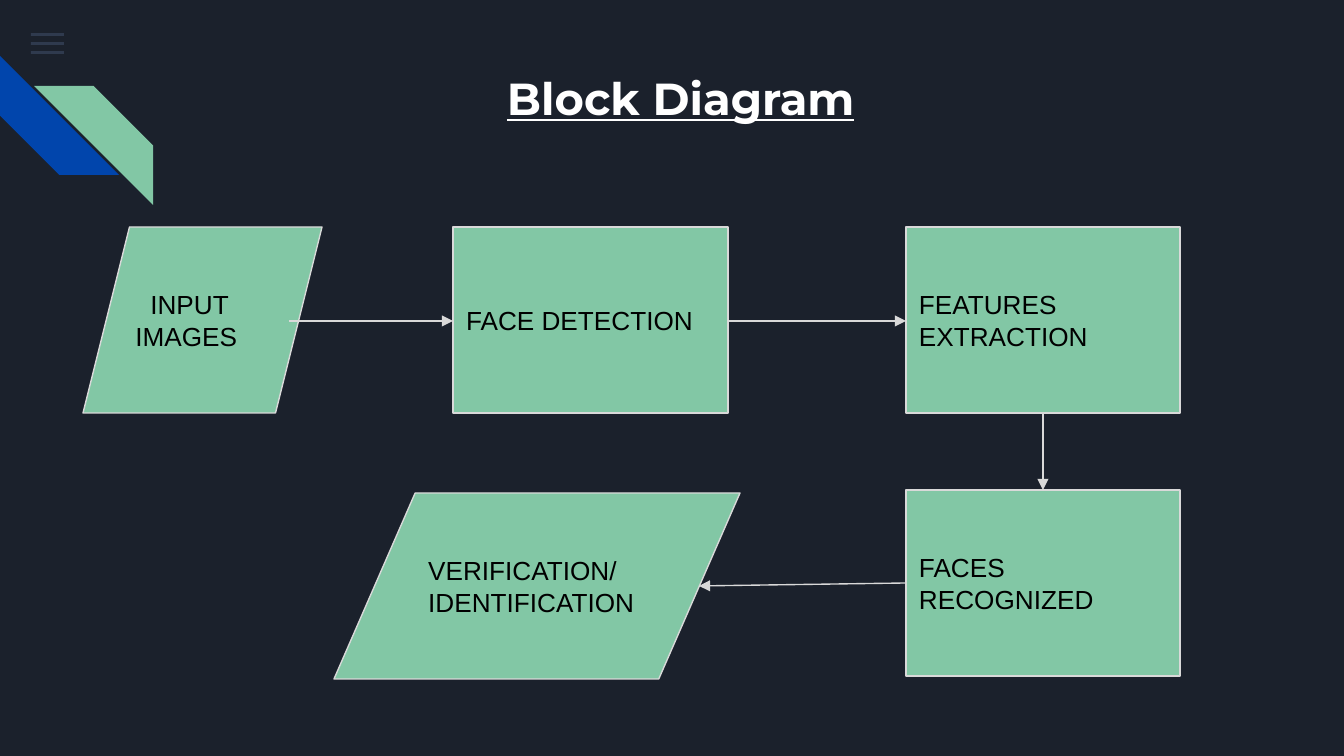
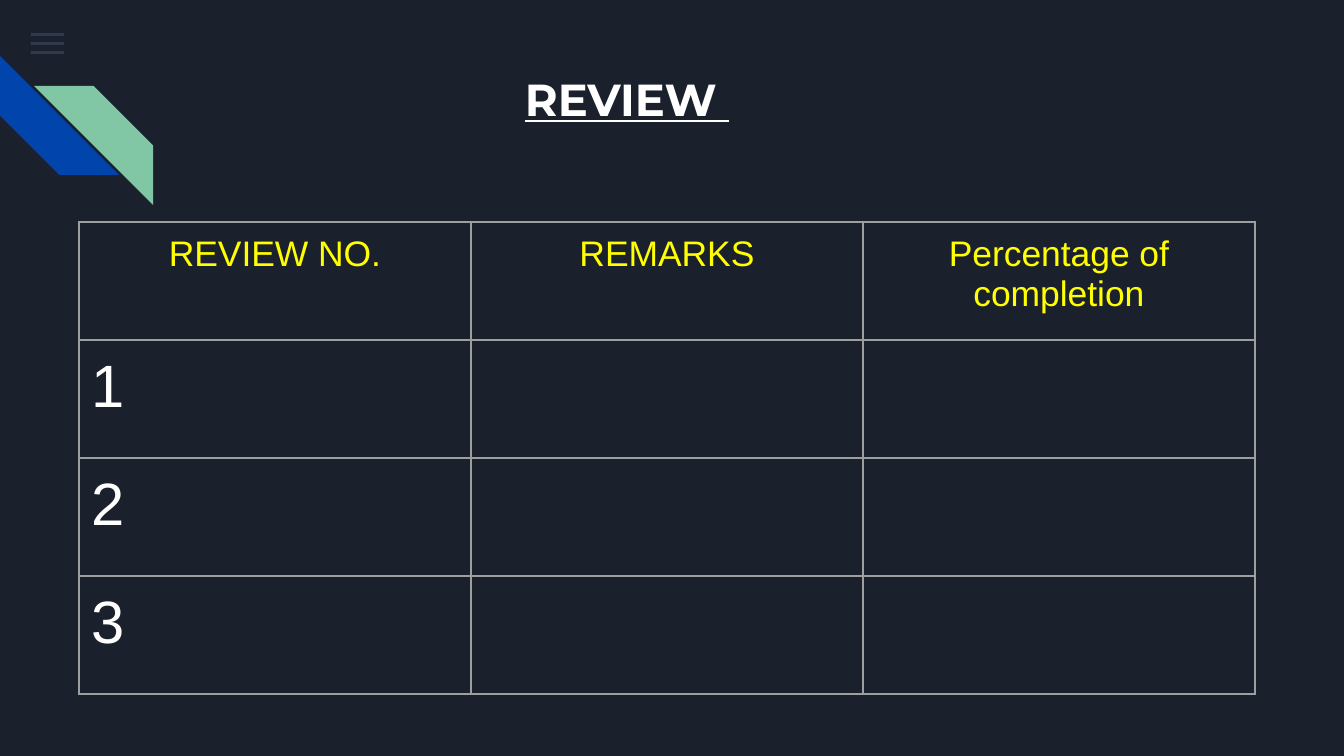
"""Build the block diagram and review slides."""
import dataclasses

import lxml.etree
import pptx
import pptx.dml.color
import pptx.enum.shapes
import pptx.enum.text
import pptx.oxml
import pptx.oxml.ns
import pptx.util

SHAPE = pptx.enum.shapes.MSO_SHAPE
ALIGN = pptx.enum.text.PP_ALIGN
ANCHOR = pptx.enum.text.MSO_ANCHOR
PX = 914400 / 134.4


@dataclasses.dataclass(frozen=True)
class Theme:
    background: str = "1B212C"
    bar: str = "55688B"
    bar_alpha: int = 36
    blue: str = "0145AC"
    green: str = "82C7A5"
    outline: str = "D9D9D9"
    grid: str = "9E9E9E"
    white: str = "FFFFFF"
    black: str = "000000"
    yellow: str = "FFFF00"
    title_font: str = "Montserrat"
    body_font: str = "Arial"
    title_size: int = 24
    block_size: int = 14
    header_size: int = 19
    number_size: int = 32
    line_width: float = 0.75


THEME = Theme()
MARGIN = 13
BLOCK_HEIGHT = 186
TOP_ROW, BOTTOM_ROW = 227, 490
MIDDLE = TOP_ROW + BLOCK_HEIGHT // 2 + 1

BLOCKS = [
    ("INPUT IMAGES", SHAPE.PARALLELOGRAM, (83, TOP_ROW, 239), ALIGN.LEFT, 15),
    ("FACE DETECTION", SHAPE.RECTANGLE, (453, TOP_ROW, 275), ALIGN.JUSTIFY, 0),
    ("FEATURES EXTRACTION", SHAPE.RECTANGLE, (906, TOP_ROW, 274), ALIGN.LEFT, 0),
    ("FACES RECOGNIZED", SHAPE.RECTANGLE, (906, BOTTOM_ROW, 274), ALIGN.LEFT, 0),
    ("VERIFICATION/\nIDENTIFICATION", SHAPE.FLOWCHART_DATA, (334, 493, 406), ALIGN.LEFT, 0),
]
ARROWS = [
    (289, MIDDLE, 453, MIDDLE),
    (728, MIDDLE, 906, MIDDLE),
    (1043, TOP_ROW + BLOCK_HEIGHT, 1043, BOTTOM_ROW),
    (906, 583, 699, 586),
]
REVIEWS = [
    ("REVIEW NO.", "REMARKS", "Percentage of completion"),
    ("1", "", ""),
    ("2", "", ""),
    ("3", "", ""),
]


def px(*lengths):
    return [pptx.util.Emu(round(length * PX)) for length in lengths]


def rgb(color):
    return pptx.dml.color.RGBColor.from_string(color)


def add_child(parent, tag, **attributes):
    child = lxml.etree.SubElement(parent, pptx.oxml.ns.qn(tag))
    for name, value in attributes.items():
        child.set(name, str(value))
    return child


def style_text(frame, font, size, color, align=ALIGN.LEFT, bold=False, underline=False):
    frame.word_wrap = True
    frame.margin_left, frame.margin_top, frame.margin_right, frame.margin_bottom = px(*[MARGIN] * 4)
    for para in frame.paragraphs:
        para.alignment = align
        for span in para.runs:
            span.font.name = font
            span.font.size = pptx.util.Pt(size)
            span.font.color.rgb = rgb(color)
            span.font.bold = bold
            span.font.underline = underline


def add_filled(page, kind, bounds, color):
    shape = page.shapes.add_shape(kind, *px(*bounds))
    shape.shadow.inherit = False
    shape.fill.solid()
    shape.fill.fore_color.rgb = rgb(color)
    shape.line.fill.background()
    return shape


def set_line(line):
    line.color.rgb = rgb(THEME.outline)
    line.width = pptx.util.Pt(THEME.line_width)


def add_page(deck, title, left, top, indent):
    page = deck.slides.add_slide(deck.slide_layouts[6])
    page.background.fill.solid()
    page.background.fill.fore_color.rgb = rgb(THEME.background)
    for index in range(3):
        bar = add_filled(page, SHAPE.RECTANGLE, (31, 33 + 9 * index, 33, 3), THEME.bar)
        color = next(bar.element.iter(pptx.oxml.ns.qn("a:srgbClr")))
        add_child(color, "a:alpha", val=THEME.bar_alpha * 1000)
    for stripe_left, stripe_top, turn, color in ((0, 56, 270, THEME.blue), (34, 86, 90, THEME.green)):
        stripe = add_filled(page, SHAPE.DIAGONAL_STRIPE, (stripe_left, stripe_top, 119, 119), color)
        stripe.rotation = turn
    box = page.shapes.add_textbox(*px(left, top, 1035, 134))
    box.text_frame.text = title
    style_text(box.text_frame, THEME.title_font, THEME.title_size, THEME.white, bold=True, underline=True)
    set_indent(box.text_frame.paragraphs[0], indent)
    return page


def set_indent(para, indent):
    para._p.get_or_add_pPr().set("indent", str(px(indent)[0]))


def add_block(page, text, kind, place, align, indent):
    block = add_filled(page, kind, (*place, BLOCK_HEIGHT), THEME.green)
    set_line(block.line)
    frame = block.text_frame
    frame.text = text
    frame.vertical_anchor = ANCHOR.MIDDLE
    style_text(frame, THEME.body_font, THEME.block_size, THEME.black, align)
    if indent:
        set_indent(frame.paragraphs[0], indent)


def add_arrow(page, ends):
    arrow = page.shapes.add_connector(pptx.enum.shapes.MSO_CONNECTOR.STRAIGHT, *px(*ends))
    set_line(arrow.line)
    add_child(arrow.line._get_or_add_ln(), "a:tailEnd", type="triangle")
    add_child(arrow.element.spPr, "a:effectLst")


def set_borders(cell):
    properties = cell._tc.get_or_add_tcPr()
    for side in ("a:lnL", "a:lnR", "a:lnT", "a:lnB"):
        border = add_child(properties, side, w=pptx.util.Pt(THEME.line_width))
        fill = add_child(border, "a:solidFill")
        add_child(fill, "a:srgbClr", val=THEME.grid)


def add_reviews(page, left, top, column_width, row_height):
    rows, columns = len(REVIEWS), len(REVIEWS[0])
    bounds = px(left, top, column_width * columns, row_height * rows)
    table = page.shapes.add_table(rows, columns, *bounds).table
    table.first_row = table.horz_banding = False
    for row, texts in enumerate(REVIEWS):
        for column, text in enumerate(texts):
            cell = table.cell(row, column)
            set_borders(cell)
            cell.fill.background()
            cell.margin_left, cell.margin_top, cell.margin_right, cell.margin_bottom = px(*[MARGIN] * 4)
            cell.text_frame.text = text
            look = (THEME.number_size, THEME.white) if row else (THEME.header_size, THEME.yellow)
            style_text(cell.text_frame, THEME.body_font, *look, ALIGN.LEFT if row else ALIGN.CENTER)


def main():
    deck = pptx.Presentation()
    deck.slide_width, deck.slide_height = px(1344, 756)
    diagram = add_page(deck, "Block Diagram", 191, 58, 303)
    for block in BLOCKS:
        add_block(diagram, *block)
    for ends in ARROWS:
        add_arrow(diagram, ends)
    review = add_page(deck, "REVIEW ", 149, 59, 363)
    add_reviews(review, 79, 222, 392, 118)
    deck.save("out.pptx")


if __name__ == "__main__":
    main()
